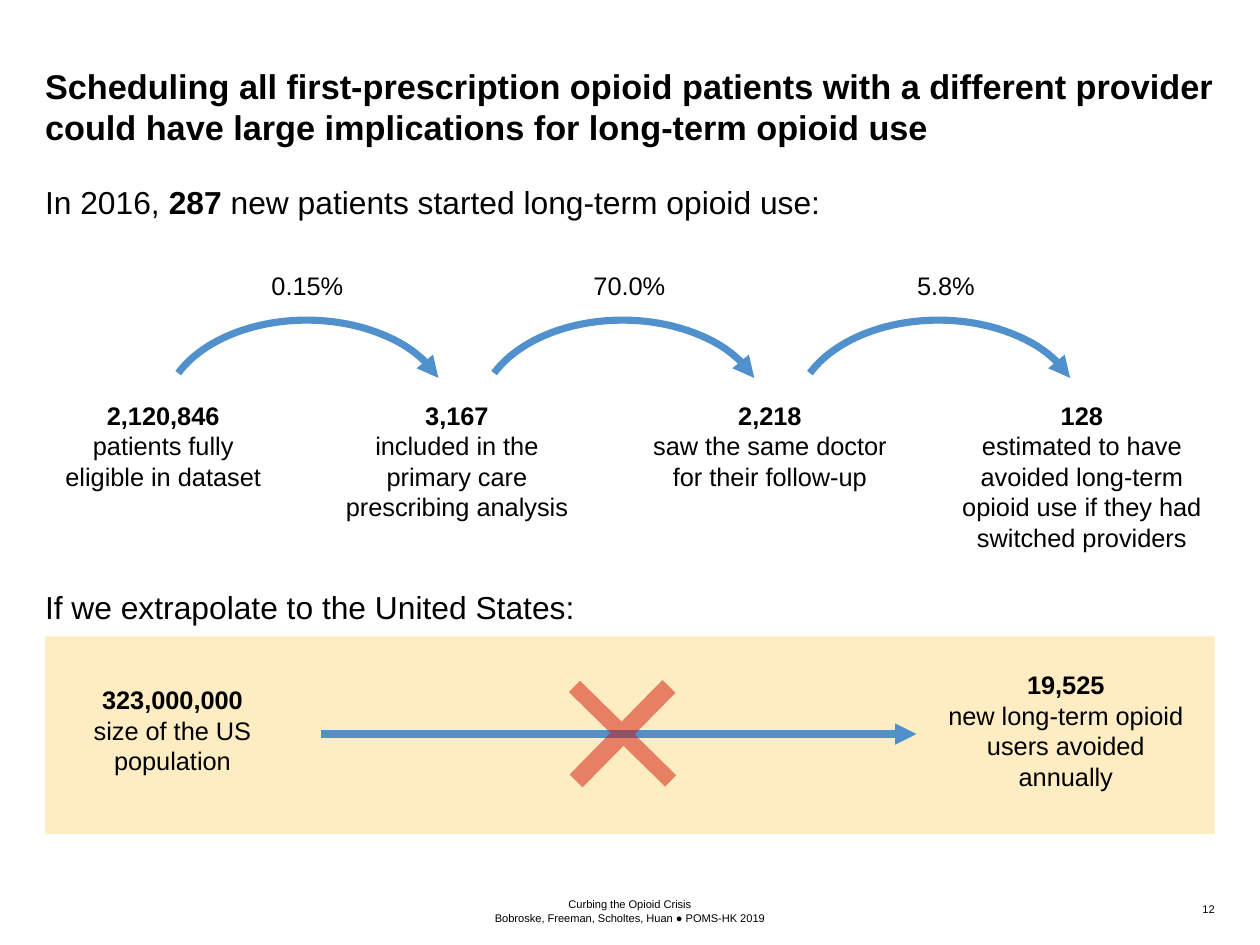
from lxml import etree
from pptx import Presentation
from pptx.dml.color import RGBColor
from pptx.enum.shapes import MSO_CONNECTOR, MSO_SHAPE
from pptx.enum.text import MSO_ANCHOR, PP_ALIGN
from pptx.oxml.ns import qn
from pptx.util import Pt

LEFT, CENTER, RIGHT = PP_ALIGN.LEFT, PP_ALIGN.CENTER, PP_ALIGN.RIGHT
TOP, BOTTOM = MSO_ANCHOR.TOP, MSO_ANCHOR.BOTTOM
RECTANGLE, ARC, PLUS = MSO_SHAPE.RECTANGLE, MSO_SHAPE.ARC, MSO_SHAPE.CROSS
STRAIGHT = MSO_CONNECTOR.STRAIGHT

BLACK = RGBColor(0x00, 0x00, 0x00)
BLUE = RGBColor(0x50, 0x91, 0xCD)
CREAM = RGBColor(0xFE, 0xED, 0xC2)
RED = RGBColor(0xD1, 0x12, 0x03)

MARGIN = 28.4
CONTENT_WIDTH = 737.3
FLAT = (0, 0, 0, 0)
PADDED = (7.2, 3.6, 7.2, 3.6)


class SlideBuilder:
    font = "Arial"
    arrow_width = 4.5

    def __init__(self, page):
        self.page = page

    def text(self, frame, paragraphs, size, align=LEFT, anchor=TOP,
             insets=FLAT):
        """Each paragraph is a list of (text, bold) runs."""
        box = self.page.shapes.add_textbox(*map(Pt, frame)).text_frame
        box.word_wrap = True
        box.vertical_anchor = anchor
        (box.margin_left, box.margin_top,
         box.margin_right, box.margin_bottom) = map(Pt, insets)
        for index, runs in enumerate(paragraphs):
            para = box.add_paragraph() if index else box.paragraphs[0]
            para.alignment = align
            for words, bold in runs:
                span = para.add_run()
                span.text = words
                span.font.name = self.font
                span.font.size = Pt(size)
                span.font.bold = bold
                span.font.color.rgb = BLACK

    def heading(self, top, runs):
        self.text((MARGIN, top, CONTENT_WIDTH, 25.9), [runs], 20)

    def figure(self, frame, number, caption):
        self.text(frame, [[(number, True)], [(caption, False)]], 16,
                  CENTER, insets=PADDED)

    def shape(self, kind, frame, color, rotation=0, opacity=100):
        shape = self.page.shapes.add_shape(kind, *map(Pt, frame))
        shape.shadow.inherit = False
        shape.rotation = rotation
        shape.line.fill.background()
        shape.fill.solid()
        shape.fill.fore_color.rgb = color
        if opacity < 100:
            fill = shape.fill._xPr.find(qn("a:solidFill"))
            etree.SubElement(fill[0], qn("a:alpha"), val=str(opacity * 1000))
        return shape

    def arrow_line(self, line):
        line.color.rgb = BLUE
        line.width = Pt(self.arrow_width)
        etree.SubElement(line._get_or_add_ln(), qn("a:tailEnd"),
                         type="triangle")

    def curved_arrow(self, frame, start, end):
        """Draw an arc between two angles, in degrees before rotation."""
        arc = self.page.shapes.add_shape(ARC, *map(Pt, frame))
        arc.shadow.inherit = False
        arc.rotation = 270
        arc.fill.background()
        for index, angle in enumerate((start, end)):
            arc.adjustments[index] = angle * 0.6
        self.arrow_line(arc.line)

    def straight_arrow(self, left, right, height):
        arrow = self.page.shapes.add_connector(
            STRAIGHT, Pt(left), Pt(height), Pt(right), Pt(height))
        self.arrow_line(arrow.line)
        etree.SubElement(arrow._element.spPr, qn("a:effectLst"))


def main():
    deck = Presentation()
    deck.slide_width, deck.slide_height = Pt(794.2), Pt(595.4)
    slide = SlideBuilder(deck.slides.add_slide(deck.slide_layouts[6]))

    slide.shape(RECTANGLE, (MARGIN, 401, CONTENT_WIDTH, 124.6), CREAM)
    title = ("Scheduling all first-prescription opioid patients with a "
             "different provider could have large implications for "
             "long-term opioid use")
    slide.text((MARGIN, 41.8, CONTENT_WIDTH + 2, 56.9), [[(title, True)]],
               21.6, anchor=BOTTOM, insets=(0, 0, 0, 5.8))

    slide.heading(115.2, [
        ("In 2016, ", False), ("287", True),
        (" new patients started long-term opioid use:", False)])
    steps = [
        (MARGIN, 149, "2,120,846", "patients fully eligible in dataset"),
        (202.3, 171.4, "3,167",
         "included in the primary care prescribing analysis"),
        (399.6, 171.4, "2,218", "saw the same doctor for their follow-up"),
        (596.2, 171.4, "128", "estimated to have avoided long-term opioid "
         "use if they had switched providers"),
    ]
    for left, width, number, caption in steps:
        slide.figure((left, 248.4, width, 104.4), number, caption)

    rates = [(193.7, "0.15%"), (396.7, "70.0%"), (596.2, "5.8%")]
    for index, (middle, rate) in enumerate(rates):
        slide.curved_arrow((133.2 + 199.1 * index, 171.4, 120.2, 180.7),
                           288.25, 74.11)
        slide.text((middle - 41, 167, 82, 26.6), [[(rate, False)]], 16,
                   CENTER, insets=PADDED)

    slide.heading(370.1, [("If we extrapolate to the United States:", False)])
    slide.figure((MARGIN, 427.7, 160.6, 65.5), "323,000,000",
                 "size of the US population")
    slide.straight_arrow(202.6, 577.7, 462.5)
    slide.figure((586.1, 418.3, 171.4, 85), "19,525",
                 "new long-term opioid users avoided annually")
    cross = slide.shape(PLUS, (349.9, 420.5, 85, 83.5), RED, 44.5, 50)
    cross.adjustments[0] = 0.44

    slide.text((216.3, 565.2, 361.4, 17.3), [
        [("Curbing the Opioid Crisis", False)],
        [("Bobroske, Freeman, Scholtes, Huan ● POMS-HK 2019", False)],
    ], 7, CENTER, BOTTOM)
    slide.text((633.2, 568.8, 132.5, 11.5), [[("12", False)]], 7, RIGHT)
    deck.save("out.pptx")


if __name__ == "__main__":
    main()
